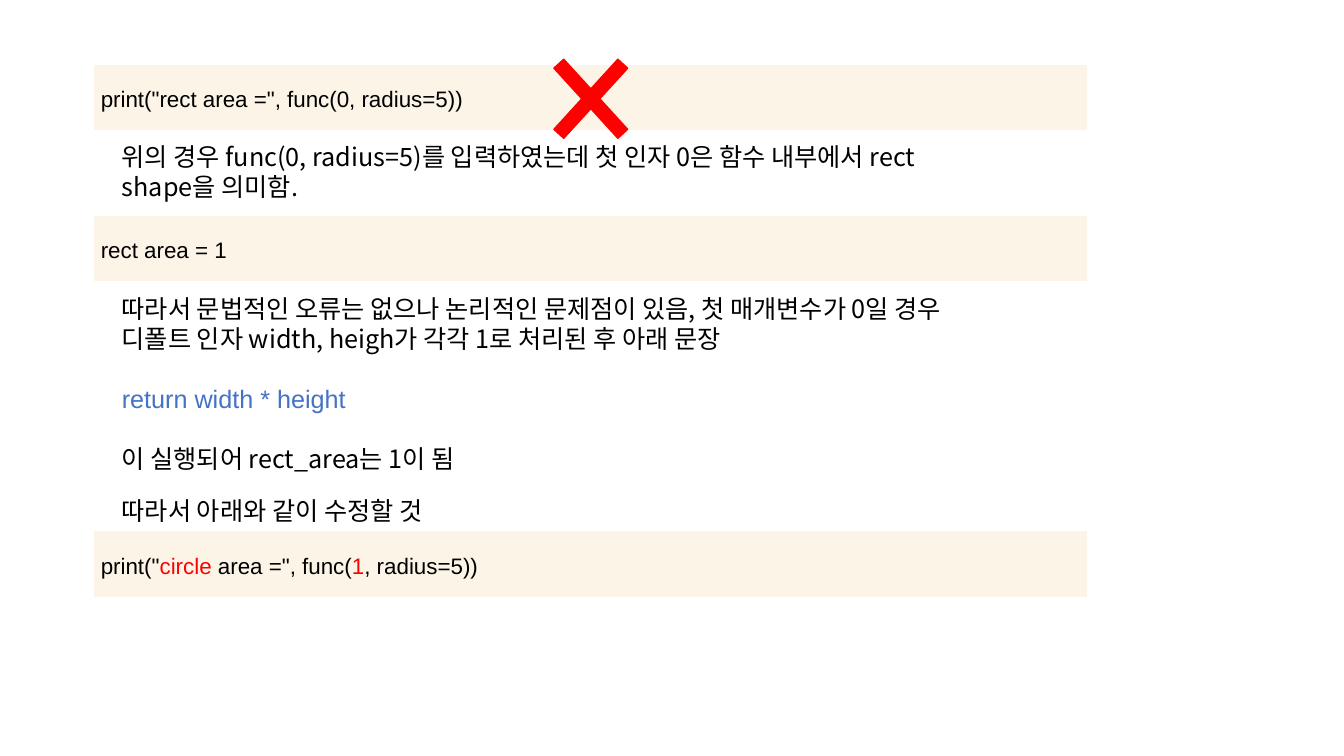
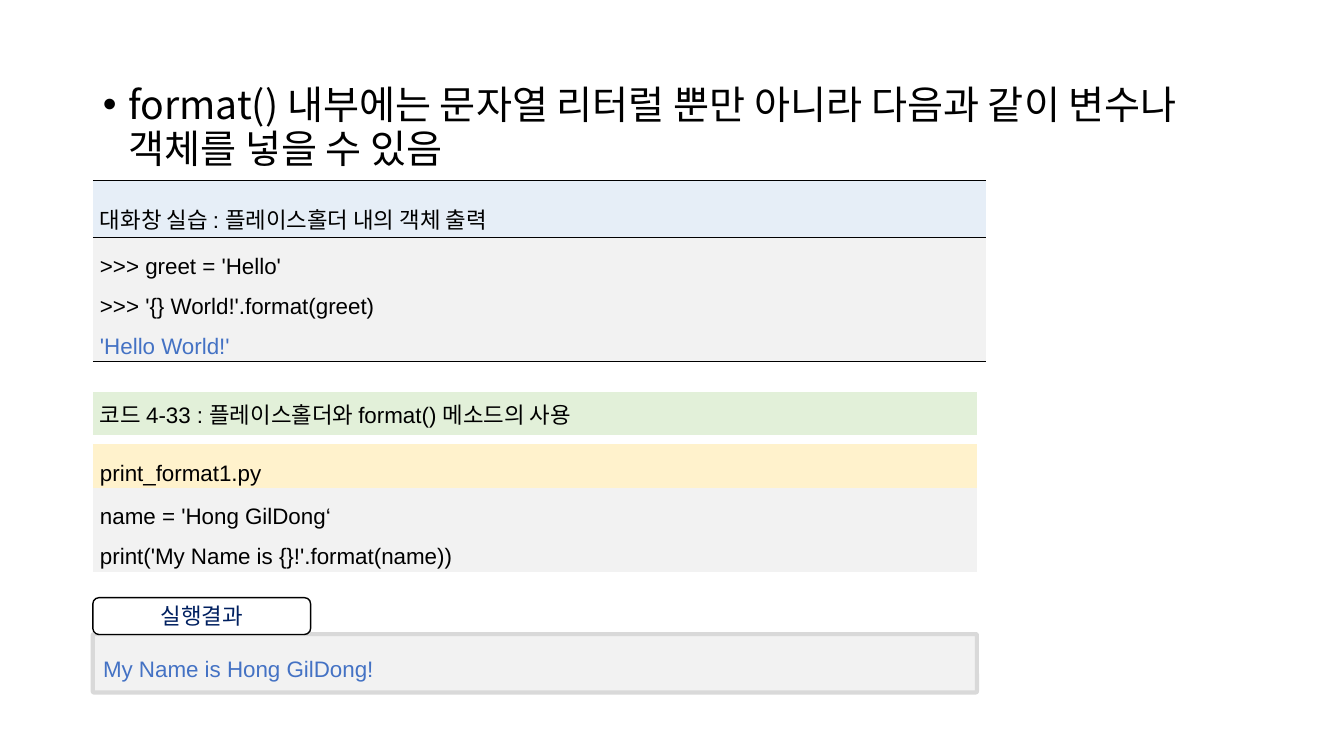
"""Build two lecture slides on keyword arguments and format()."""
from dataclasses import dataclass, replace

from lxml import etree
from pptx import Presentation
from pptx.dml.color import RGBColor
from pptx.enum.shapes import MSO_SHAPE
from pptx.enum.text import MSO_ANCHOR, MSO_AUTO_SIZE, PP_ALIGN
from pptx.oxml.ns import qn
from pptx.util import Cm, Pt

LEFT, CENTER, JUSTIFY = PP_ALIGN.LEFT, PP_ALIGN.CENTER, PP_ALIGN.JUSTIFY
TOP, MIDDLE = MSO_ANCHOR.TOP, MSO_ANCHOR.MIDDLE
ROUNDED, MULTIPLY = MSO_SHAPE.ROUNDED_RECTANGLE, MSO_SHAPE.MATH_MULTIPLY
NO_AUTOFIT = MSO_AUTO_SIZE.NONE
SIDES = ("a:lnL", "a:lnR", "a:lnT", "a:lnB")


@dataclass(frozen=True)
class Theme:
    """Colours, fonts and type sizes of the deck."""
    black: str = "000000"
    white: str = "FFFFFF"
    red: str = "FF0000"
    blue: str = "4472C4"
    navy: str = "002060"
    cream: str = "FCF5E7"
    sky: str = "E6EEF7"
    gray: str = "F2F2F2"
    frame: str = "D9D9D9"
    green: str = "E2F0D9"
    yellow: str = "FFF2CC"
    latin: str = "Arial"
    hangul: str = "Noto Sans CJK KR"
    code_size: int = 16
    note_size: int = 18
    lead_size: int = 28


T = Theme()


@dataclass(frozen=True)
class Style:
    """Format of a paragraph; line is a ratio or an exact Pt height."""
    size: int
    font: str = T.latin
    align: PP_ALIGN = LEFT
    line: float = 1.0
    before: float = 0
    after: float = 0


CODE = Style(T.code_size, align=JUSTIFY, line=1.6)
CAPTION = Style(T.code_size)
SNIPPET = replace(CODE, line=1.2, after=4)
NOTE = Style(T.note_size, T.hangul, line=Pt(21.5))
LEAD = Style(T.lead_size, T.hangul, line=Pt(31))
TAB = Style(T.code_size, T.hangul, CENTER, Pt(19))


def rgb(color):
    """Return the colour object of a hex string."""
    return RGBColor.from_string(color)


def write(tf, style, paras):
    """Fill a text frame; a paragraph is text, a run list or (runs, style)."""
    for i, para in enumerate(paras):
        runs, look = para if isinstance(para, tuple) else (para, style)
        p = tf.add_paragraph() if i else tf.paragraphs[0]
        p.alignment, p.line_spacing = look.align, look.line
        p.space_before, p.space_after = Pt(look.before), Pt(look.after)
        p.font.size, p.font.name = Pt(look.size), look.font
        ea = etree.SubElement(p.font._element, qn("a:ea"))
        ea.set("typeface", T.hangul)
        for text, color in [(runs, T.black)] if isinstance(runs, str) else runs:
            r = p.add_run()
            r.text = text
            r.font.color.rgb = rgb(color)


def set_borders(cell, top, bottom):
    """Draw black top and bottom borders in points; zero means none."""
    for side, width in zip(SIDES, (0, 0, top, bottom)):
        ln = etree.SubElement(cell._tc.get_or_add_tcPr(), qn(side))
        ln.set("w", str(int(Pt(width))))
        if width:
            fill = etree.SubElement(ln, qn("a:solidFill"))
            etree.SubElement(fill, qn("a:srgbClr")).set("val", T.black)
        else:
            etree.SubElement(ln, qn("a:noFill"))


def add_panel(s, left, top, width, rows):
    """Add a one-column table from (height, fill, style, paras, borders) rows."""
    height = sum(row[0] for row in rows)
    table = s.shapes.add_table(len(rows), 1, Cm(left), Cm(top),
                               Cm(width), Cm(height)).table
    table.first_row = table.horz_banding = False
    for i, (row_height, fill, style, paras, borders) in enumerate(rows):
        table.rows[i].height = Cm(row_height)
        cell = table.cell(i, 0)
        cell.margin_left = cell.margin_right = Cm(0.18)
        cell.margin_top = cell.margin_bottom = Cm(0.05)
        cell.vertical_anchor = MIDDLE
        set_borders(cell, *borders)
        if fill:
            cell.fill.solid()
            cell.fill.fore_color.rgb = rgb(fill)
            write(cell.text_frame, style, paras)
        else:
            cell.fill.background()
            p = cell.text_frame.paragraphs[0]
            etree.SubElement(p._p, qn("a:endParaRPr")).set("sz", "100")


def add_snippet(s, top, runs):
    """Add a cream one-line code band."""
    add_panel(s, 2.36, top, 25.04, [(1.65, T.cream, SNIPPET, [runs], (0, 0))])


def add_note(s, top, height, paras):
    """Add an explanatory text box."""
    tf = s.shapes.add_textbox(Cm(2.82), Cm(top), Cm(23.8), Cm(height)).text_frame
    tf.word_wrap = True
    write(tf, NOTE, paras)


def add_box(s, kind, box, adj, fill, line, weight):
    """Add a filled, outlined preset shape without shadow."""
    shape = s.shapes.add_shape(kind, *map(Cm, box))
    shape.shadow.inherit = False
    shape.adjustments[0] = adj
    shape.fill.solid()
    shape.fill.fore_color.rgb = rgb(fill)
    shape.line.color.rgb = rgb(line)
    shape.line.width = Pt(weight)
    return shape


def label(shape, anchor, style, text, color):
    """Write one coloured line into a shape."""
    tf = shape.text_frame
    tf.word_wrap = True
    tf.vertical_anchor = anchor
    write(tf, style, [[(text, color)]])


def add_lead(s, text):
    """Place the bulleted lead in the body placeholder and drop the title."""
    title = s.shapes.title._element
    title.getparent().remove(title)
    body = s.placeholders[1]
    body.left, body.top, body.width, body.height = map(Cm, (2.34, 2, 29.21, 12.1))
    tf = body.text_frame
    tf.auto_size = NO_AUTOFIT
    tf.vertical_anchor = TOP
    write(tf, LEAD, [text])
    pPr = tf.paragraphs[0]._p.get_or_add_pPr()
    pPr.set("marL", str(int(Cm(0.64))))
    pPr.set("indent", str(int(Cm(-0.64))))


def build_argument_slide(prs):
    """Explain the wrong positional argument and its fix."""
    s = prs.slides.add_slide(prs.slide_layouts[6])
    spaced = replace(NOTE, before=21.5)
    add_snippet(s, 1.63, 'print("rect area =", func(0, radius=5))')
    add_snippet(s, 5.44, "rect area = 1")
    add_note(s, 3.45, 1.8, [
        "위의 경우 func(0, radius=5)를 입력하였는데 첫 인자 0은 함수 내부에서 rect",
        "shape을 의미함."])
    add_note(s, 7.26, 4.88, [
        "따라서 문법적인 오류는 없으나 논리적인 문제점이 있음, 첫 매개변수가 0일 경우",
        "디폴트 인자 width, heigh가 각각 1로 처리된 후 아래 문장",
        ([("return width * height", T.blue)], replace(spaced, font=T.latin)),
        ("이 실행되어 rect_area는 1이 됨", spaced)])
    add_snippet(s, 13.39, [
        ('print("', T.black), ("circle ", T.red), ('area =", func(', T.black),
        ("1", T.red), (", radius=5))", T.black)])
    add_note(s, 12.37, 1.02, ["따라서 아래와 같이 수정할 것"])
    add_box(s, MULTIPLY, (13.34, 0.79, 3.1, 3.4), 0.108, T.red, T.red, 1)


def build_format_slide(prs):
    """Show format() with variables, its code and its output."""
    s = prs.slides.add_slide(prs.slide_layouts[1])
    left, width = 2.34, 22.28
    add_lead(s, "format() 내부에는 문자열 리터럴 뿐만 아니라 다음과 같이 변수나 객체를 넣을 수 있음")
    add_panel(s, left, 4.55, 22.5, [
        (1.42, T.sky, CODE, ["대화창 실습 : 플레이스홀더 내의 객체 출력"], (1, 0.28)),
        (3.13, T.gray, CODE, [
            ">>> greet = 'Hello'", ">>> '{} World!'.format(greet)",
            [("'Hello World!'", T.blue)]], (0.28, 0.28))])
    add_panel(s, left, 9.88, width, [
        (1.08, T.green, CAPTION, ["코드 4-33 : 플레이스홀더와 format() 메소드의 사용"], (0, 0)),
        (0.23, None, CAPTION, [], (0, 0)),
        (1.1, T.yellow, CODE, ["print_format1.py"], (0, 0)),
        (2.1, T.gray, CODE, [
            "name = 'Hong GilDong‘", "print('My Name is {}!'.format(name))"], (0, 0))])
    result = add_box(s, ROUNDED, (left, 15.98, width, 1.47), 0.02,
                     T.gray, T.frame, 3)
    label(result, TOP, CODE, "My Name is Hong GilDong!", T.blue)
    tab = add_box(s, ROUNDED, (left, 15.06, 5.49, 0.93), 0.17,
                  T.white, T.black, 1)
    label(tab, MIDDLE, TAB, "실행결과", T.navy)


def main():
    """Build and save the deck."""
    prs = Presentation()
    prs.slide_width, prs.slide_height = Cm(33.87), Cm(19.05)
    build_argument_slide(prs)
    build_format_slide(prs)
    prs.save("out.pptx")


if __name__ == "__main__":
    main()
